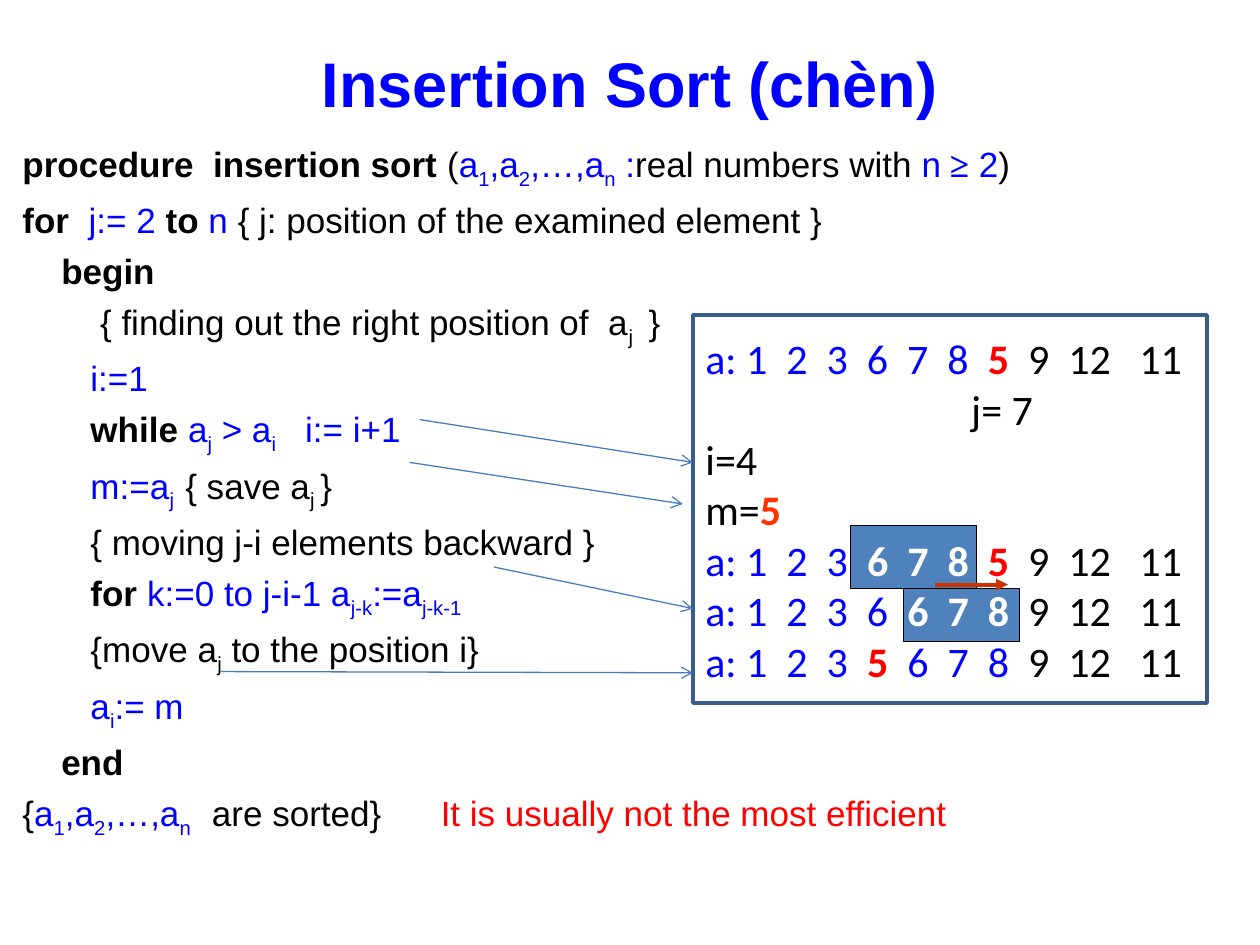
from lxml import etree
from pptx import Presentation
from pptx.dml.color import RGBColor
from pptx.enum import shapes, text
from pptx.oxml.ns import qn
from pptx.util import Inches, Pt

# Run styles: colour, bold
STYLES = {
    "plain": ("000000", False), "keyword": ("000000", True),
    "blue": ("0000FF", False), "title": ("0000FF", True),
    "red": ("FF0000", False), "key": ("FF0000", True),
    "saved": ("FF3300", True), "moved": ("FFFFFF", True),
    "symbol": ("0000FF", True),
}

# Content: lines of (text, style); ~ encloses a subscript
HEADING = [[("Insertion Sort (chèn)", "title")]]
SEQUENCE = "a~1~,a~2~,…,a~n"
PROCEDURE = [
    [("procedure  insertion sort", "keyword"), (" (", "plain"),
     (SEQUENCE + "~ :", "blue"), ("real numbers with ", "plain"),
     ("n", "blue"), (" ≥", "symbol"), (" 2", "blue"), (")", "plain")],
    [("for  ", "keyword"), ("j:= 2 ", "blue"), ("to ", "keyword"), ("n ", "blue"),
     ("{ j: position of the examined element }", "plain")],
    [("    begin", "keyword")],
    [("        { finding out the right position of  a~j ~ }", "plain")],
    [("       i:=1", "blue")],
    [("       while ", "keyword"), ("a~j~ > a~i~   i:= i+1", "blue")],
    [("       m:=a~j  ~", "blue"), ("{ save a~j ~}", "plain")],
    [("       { moving j-i elements backward }", "plain")],
    [("       for ", "keyword"), ("k:=0 to j-i-1 a~j-k~:=a~j-k-1~", "blue")],
    [("       {move a~j~ to the position i}", "plain")],
    [("       a~i~:= m", "blue")],
    [("    end", "keyword")],
    [("{", "plain"), (SEQUENCE + "  ~", "blue"), (" are sorted}\t", "plain"),
     ("It is usually not the most efficient", "red")],
]
REST = ("  9  12   11", "plain")
TRACE = [
    [("a: 1  2  3  6  7  8  ", "blue"), ("5", "key"), REST],
    [("j= 7", "plain")],
    [("i=4", "plain")],
    [("m=", "plain"), ("5", "saved")],
    [("a: 1  2  3  ", "blue"), ("6  7  8  ", "moved"), ("5", "key"), REST],
    [("a: 1  2  3  6  ", "blue"), ("6  7  8  ", "moved"), ("9  12   11", "plain")],
    [("a: 1  2  3  ", "blue"), ("5", "key"), ("  6  7  8", "blue"), REST],
]
HIGHLIGHTS = [(7.17, 4.67, 0.92, 0.42), (6.75, 4.17, 1, 0.5)]
STEP_ARROWS = [
    (3.33, 3.33, 5.5, 3.67), (3.25, 3.67, 5.42, 4),
    (3.92, 4.5, 5.5, 4.83), (1.75, 5.33, 5.5, 5.34),
]
SHIFT_ARROW = (7.42, 4.64, 8, 4.64)
J_INDENT, REMARK_TAB = 2.11, 3.32

prs = Presentation()
prs.slide_width, prs.slide_height = Inches(10), Inches(7.5)
slide = prs.slides.add_slide(prs.slide_layouts[6])


def color(value):
    return RGBColor.from_string(value)


def inches(values):
    return [Inches(value) for value in values]


def write(shape, lines, font, size, align=text.PP_ALIGN.LEFT, gap=0,
          anchor=text.MSO_ANCHOR.TOP):
    frame = shape.text_frame
    frame.word_wrap = True
    frame.vertical_anchor = anchor
    for i, line in enumerate(lines):
        paragraph = frame.add_paragraph() if i else frame.paragraphs[0]
        paragraph.alignment = align
        paragraph.space_before = Pt(gap if i else 0)
        if any("\t" in words for words, _ in line):
            tabs = etree.SubElement(paragraph._p.get_or_add_pPr(), qn("a:tabLst"))
            etree.SubElement(tabs, qn("a:tab"), pos=str(Inches(REMARK_TAB)), algn="l")
        paragraph.font.name, paragraph.font.size = font, Pt(size)
        for words, style in line:
            for n, part in enumerate(words.split("~")):
                if not part:
                    continue
                run = paragraph.add_run()
                run.text = part
                hue, run.font.bold = STYLES[style]
                run.font.color.rgb = color(hue)
                if style == "symbol":
                    run.font.name = "Times New Roman"
                if n % 2:
                    run.font._element.set("baseline", "-25000")
    return frame


def add_box(place, line, width, fill=None):
    box = slide.shapes.add_shape(shapes.MSO_SHAPE.RECTANGLE, *inches(place))
    box.shadow.inherit = False
    if fill:
        box.fill.solid()
        box.fill.fore_color.rgb = color(fill)
    else:
        box.fill.background()
    box.line.color.rgb = color(line)
    box.line.width = Pt(width)
    return box


def add_arrow(ends, hue, width, head):
    arrow = slide.shapes.add_connector(shapes.MSO_CONNECTOR.STRAIGHT, *inches(ends))
    arrow.line.color.rgb = color(hue)
    arrow.line.width = Pt(width)
    etree.SubElement(arrow.line._get_or_add_ln(), qn("a:tailEnd"), type=head)
    etree.SubElement(arrow._element.spPr, qn("a:effectLst"))


# Pseudocode
procedure = slide.shapes.add_textbox(*inches((0.08, 1.08, 9, 5.58)))
write(procedure, PROCEDURE, "Arial", 20, gap=5)

# Highlights behind the shifted elements
for place in HIGHLIGHTS:
    add_box(place, "000000", 0.75, fill="4F81BD")

# Heading
heading = slide.shapes.add_textbox(*inches((0.5, 0.3, 9, 0.7)))
write(heading, HEADING, "Arial", 36, text.PP_ALIGN.CENTER,
      anchor=text.MSO_ANCHOR.MIDDLE)

# Worked example
trace = add_box((5.5, 2.5, 4.08, 3.08), "385D8A", 2)
trace_frame = write(trace, TRACE, "Calibri", 24, anchor=text.MSO_ANCHOR.MIDDLE)
j_line = trace_frame.paragraphs[1]
j_line._p.get_or_add_pPr().set("marL", str(Inches(J_INDENT)))

# Arrows from the code to the example, and the shift to the right
for ends in STEP_ARROWS:
    add_arrow(ends, "4A7EBB", 0.75, "arrow")
add_arrow(SHIFT_ARROW, "CC3300", 2.25, "triangle")

prs.save("out.pptx")
